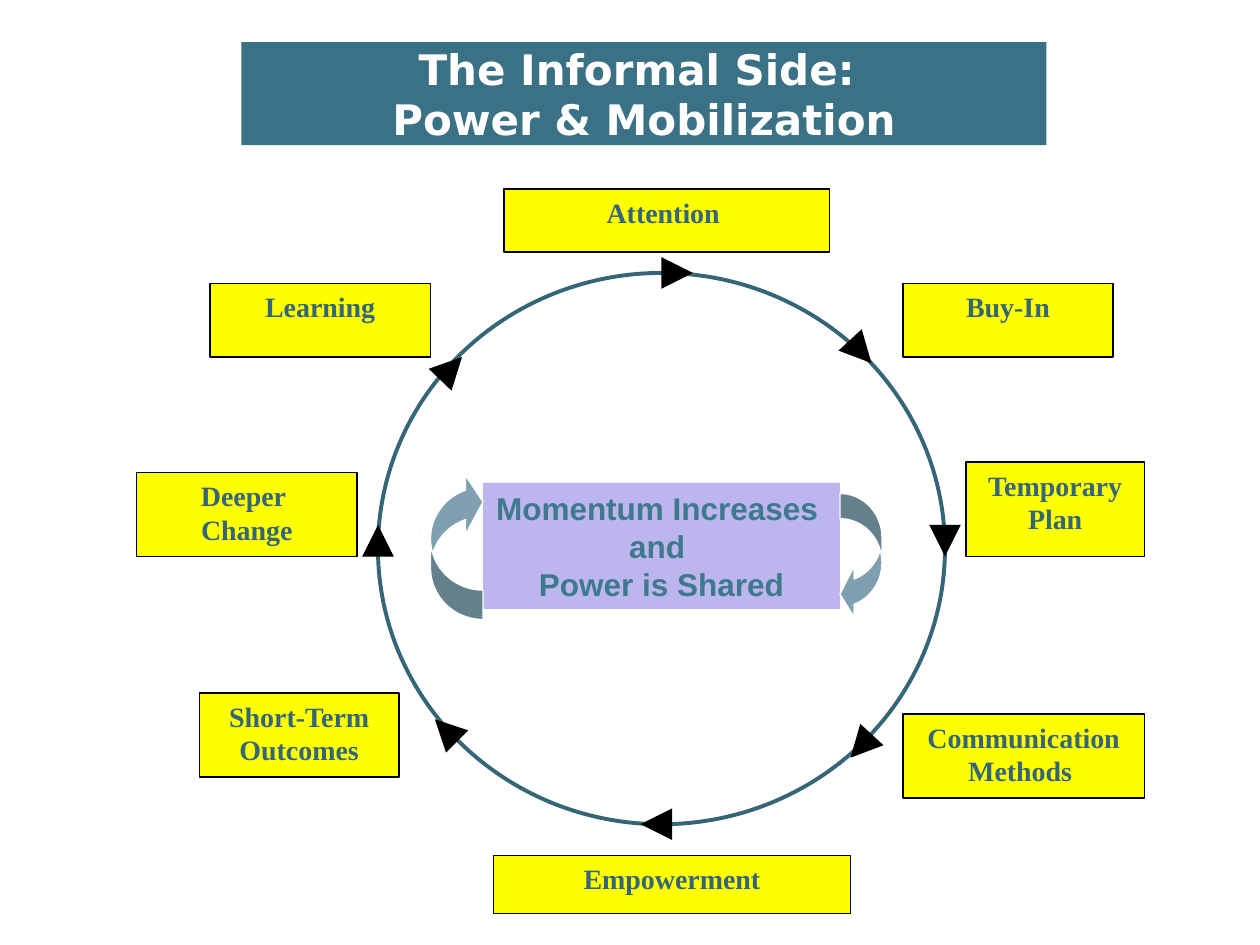
"""Build the slide on the informal side of change: a cycle of eight stages."""
from dataclasses import dataclass

import pptx
import pptx.dml.color
import pptx.enum.shapes
import pptx.enum.text
import pptx.oxml
import pptx.oxml.ns
import pptx.util

Pt = pptx.util.Pt
RGBColor = pptx.dml.color.RGBColor
MSO_SHAPE = pptx.enum.shapes.MSO_SHAPE
MSO_ANCHOR = pptx.enum.text.MSO_ANCHOR
PP_ALIGN = pptx.enum.text.PP_ALIGN

WHITE = RGBColor(0xFF, 0xFF, 0xFF)
BLACK = RGBColor(0, 0, 0)
YELLOW = RGBColor(0xFF, 0xFF, 0)
LILAC = RGBColor(0xBD, 0xB5, 0xED)
BANNER = RGBColor(0x3A, 0x71, 0x84)
TEAL = RGBColor(0x35, 0x66, 0x77)
MOMENTUM = RGBColor(0x3E, 0x79, 0x8E)
STEEL = RGBColor(0x7F, 0xA0, 0xB1)


@dataclass
class Box:
    left: float
    top: float
    width: float
    height: float

    def lengths(self) -> list:
        return [Pt(v) for v in (self.left, self.top, self.width, self.height)]


@dataclass
class Stage:
    text: str
    box: Box


@dataclass
class Arrow:
    x1: float
    y1: float
    x2: float
    y2: float


@dataclass
class Swirl:
    box: Box
    thickness: float
    rotation: float


STAGES = [
    Stage("Attention ", Box(288, 108, 186, 36)),
    Stage("Buy-In", Box(516, 162, 120, 42)),
    Stage("Temporary Plan", Box(552, 264, 102, 54)),
    Stage("Communication Methods ", Box(516, 408, 138, 48)),
    Stage("Empowerment", Box(282, 489, 204, 33)),
    Stage("Short-Term Outcomes", Box(114, 396, 114, 48)),
    Stage("Deeper \nChange", Box(78, 270, 126, 48)),
    Stage("Learning", Box(120, 162, 126, 42)),
]
ARROWS = [
    Arrow(390, 156, 396, 156),
    Arrow(486, 194.5, 498, 207.5),
    Arrow(540, 300, 540, 318),
    Arrow(498, 420, 486, 433),
    Arrow(384, 471, 366, 471),
    Arrow(261, 423.5, 248.5, 411),
    Arrow(216, 309, 216, 300),
    Arrow(252, 216.5, 264, 204),
]
SWIRLS = [
    Swirl(Box(480, 282, 24, 72), 0.6, 0),
    Swirl(Box(246, 270, 30, 84), 0.56, 180),
]


def add_shape(s, kind, box: Box, fill=None, line=None, weight: float = 0.75):
    sp = s.shapes.add_shape(kind, *box.lengths())
    sp.shadow.inherit = False
    if fill is None:
        sp.fill.background()
    else:
        sp.fill.solid()
        sp.fill.fore_color.rgb = fill
    if line is None:
        sp.line.fill.background()
    else:
        sp.line.color.rgb = line
        sp.line.width = Pt(weight)
    return sp


def set_text(sp, text: str, font: str, size: float, color: RGBColor, anchor) -> None:
    tf = sp.text_frame
    tf.text = text
    tf.vertical_anchor = anchor
    for p in tf.paragraphs:
        p.alignment = PP_ALIGN.CENTER
        p.font.name = font
        p.font.size = Pt(size)
        p.font.bold = True
        p.font.color.rgb = color


def add_title(s) -> None:
    sp = s.shapes.title
    sp.left, sp.top, sp.width, sp.height = Box(138, 24, 460, 59).lengths()
    sp.fill.solid()
    sp.fill.fore_color.rgb = BANNER
    set_text(sp, "The Informal Side: \vPower & Mobilization", "DejaVu Sans", 24,
             WHITE, MSO_ANCHOR.MIDDLE)


def add_arrow(s, arrow: Arrow) -> None:
    ends = [Pt(v) for v in (arrow.x1, arrow.y1, arrow.x2, arrow.y2)]
    cxn = s.shapes.add_connector(pptx.enum.shapes.MSO_CONNECTOR.STRAIGHT, *ends)
    cxn.line.color.rgb = BLACK
    cxn.line.width = Pt(6)
    qn = pptx.oxml.ns.qn
    tail = pptx.oxml.parse_xml(f'<a:tailEnd {pptx.oxml.ns.nsdecls("a")} type="triangle"/>')
    cxn.line._get_or_add_ln().append(tail)
    cxn._element.spPr.append(cxn._element.makeelement(qn("a:effectLst"), {}))


def add_stage(s, stage: Stage) -> None:
    sp = add_shape(s, MSO_SHAPE.RECTANGLE, stage.box, YELLOW, BLACK)
    set_text(sp, stage.text, "Times New Roman", 16, TEAL, MSO_ANCHOR.TOP)


def add_momentum(s) -> None:
    sp = add_shape(s, MSO_SHAPE.RECTANGLE, Box(276, 276, 204, 72), LILAC)
    set_text(sp, "Momentum Increases \nand \nPower is Shared", "Arial", 18,
             MOMENTUM, MSO_ANCHOR.TOP)
    sp.text_frame.word_wrap = False
    sp.text_frame.auto_size = pptx.enum.text.MSO_AUTO_SIZE.SHAPE_TO_FIT_TEXT


def add_swirl(s, swirl: Swirl) -> None:
    sp = add_shape(s, MSO_SHAPE.CURVED_LEFT_ARROW, swirl.box, STEEL, WHITE)
    for i, value in enumerate((swirl.thickness, 2 * swirl.thickness, 0.333)):
        sp.adjustments[i] = value
    sp.rotation = swirl.rotation


def main() -> None:
    prs = pptx.Presentation()
    prs.slide_width, prs.slide_height = Pt(720), Pt(540)
    s = prs.slides.add_slide(prs.slide_layouts[5])
    add_title(s)
    add_shape(s, MSO_SHAPE.OVAL, Box(216, 156, 324, 315), line=TEAL, weight=2.25)
    for arrow in ARROWS:
        add_arrow(s, arrow)
    for stage in STAGES:
        add_stage(s, stage)
    add_momentum(s)
    for swirl in SWIRLS:
        add_swirl(s, swirl)
    prs.save("out.pptx")


if __name__ == "__main__":
    main()
